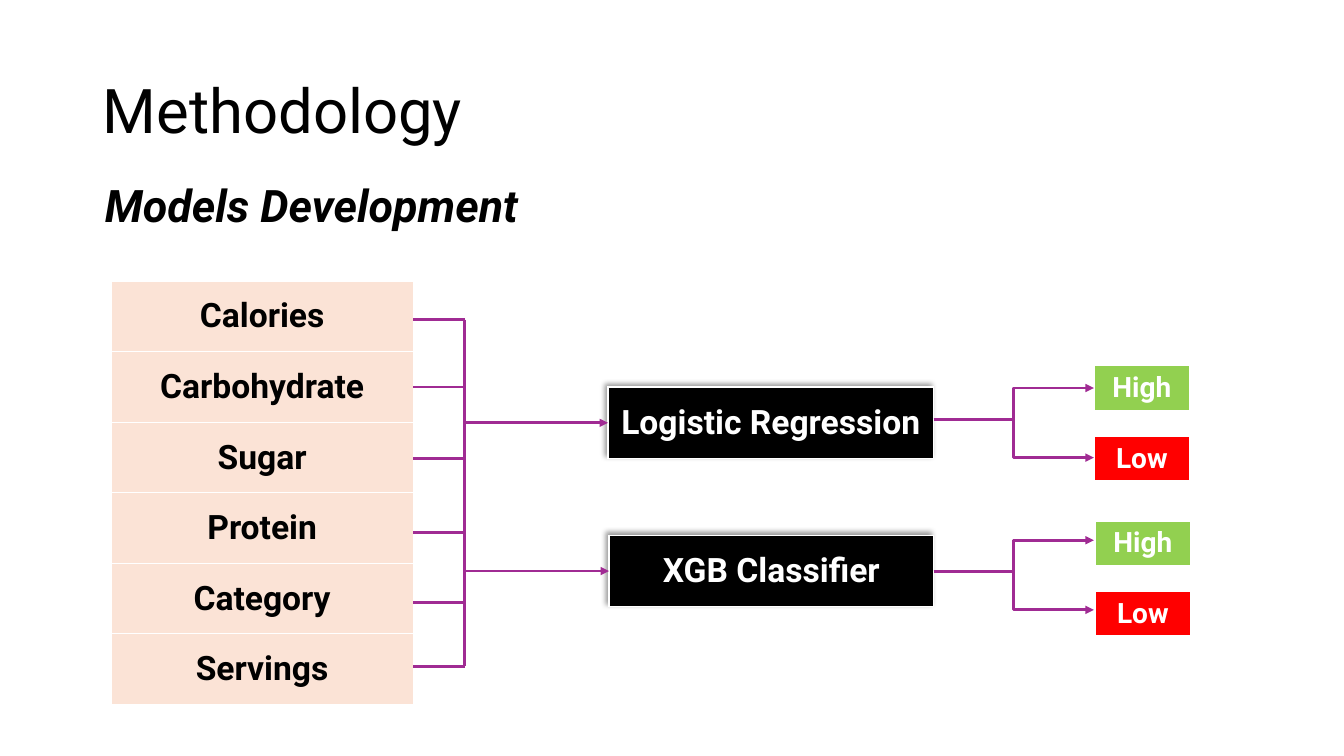
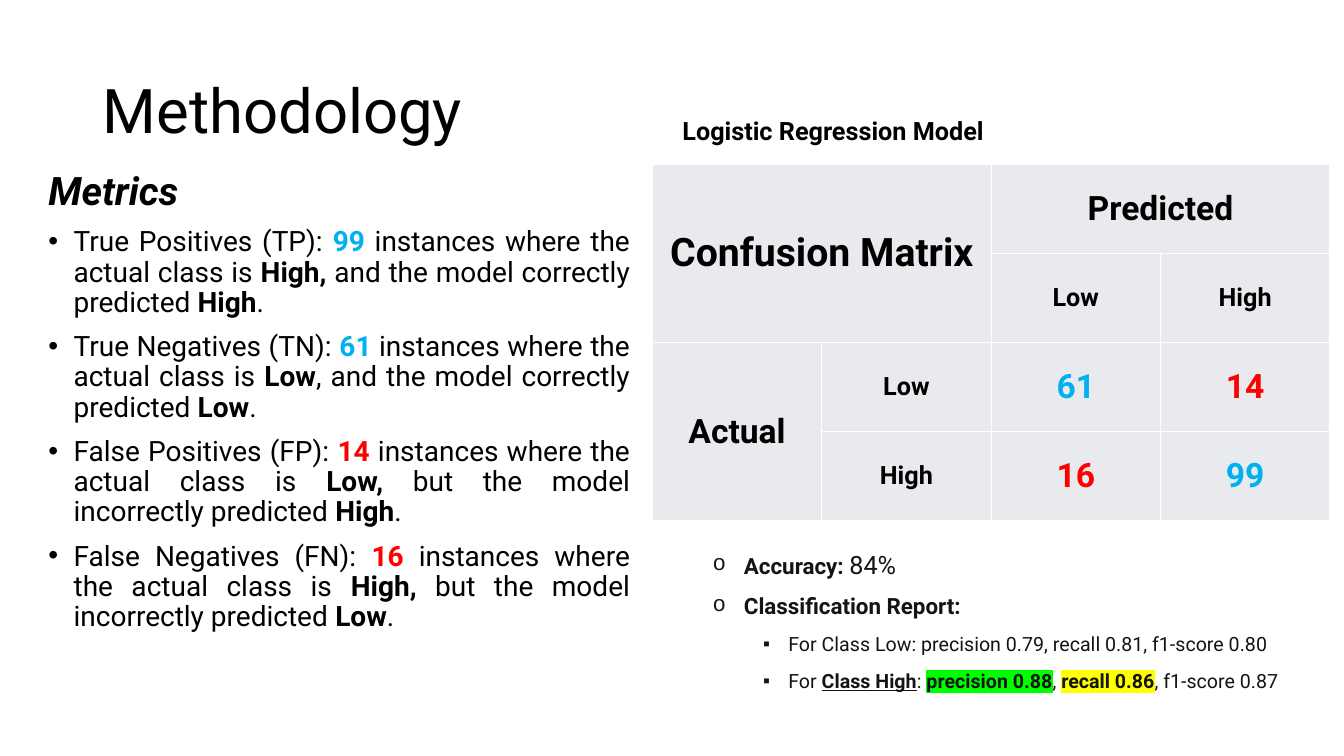
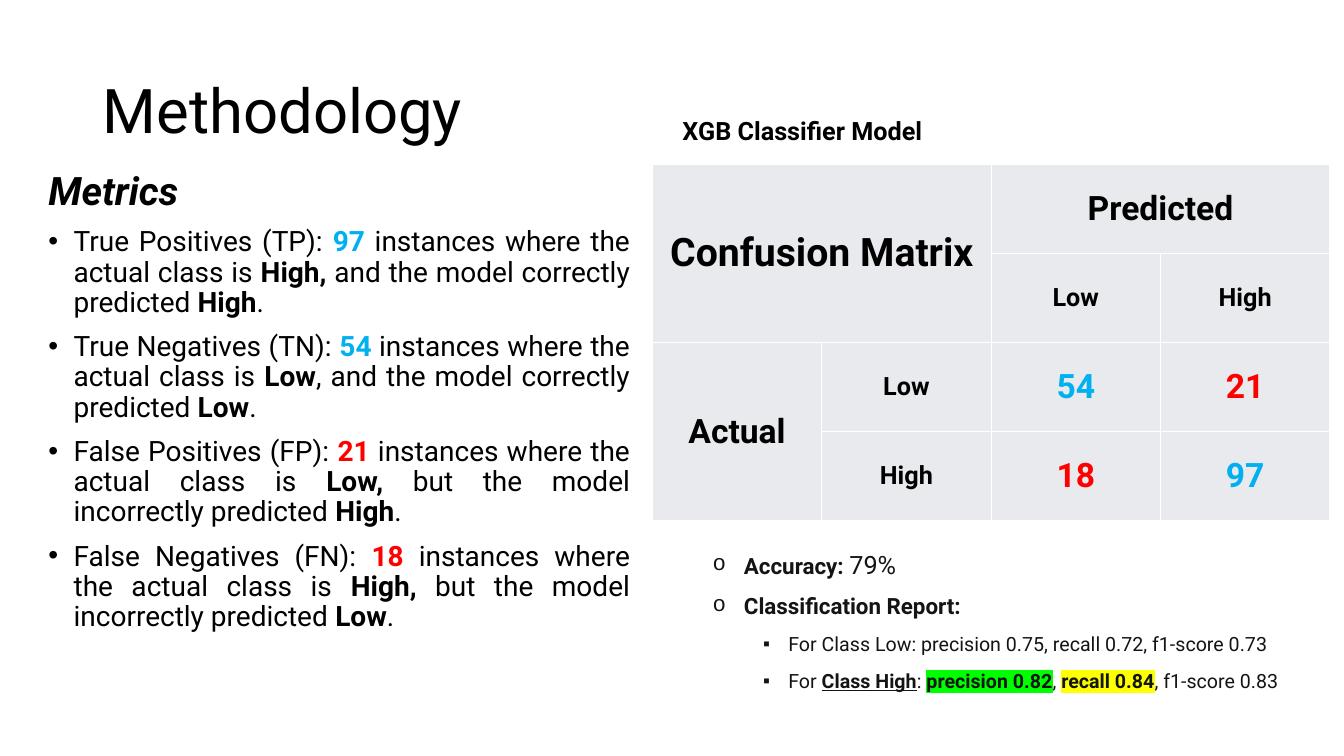
from lxml import etree
from pptx import Presentation
from pptx.dml.color import RGBColor
from pptx.enum.shapes import MSO_CONNECTOR as CONNECTOR
from pptx.enum.text import MSO_ANCHOR as ANCHOR, MSO_AUTO_SIZE as AUTO_SIZE, PP_ALIGN as ALIGN
from pptx.oxml import parse_xml
from pptx.oxml.ns import nsdecls, qn
from pptx.util import Inches, Pt

FONT = "Roboto"
BLACK, WHITE, INK = "000000", "FFFFFF", "121512"
PEACH, GREY, PURPLE = "FBE3D6", "E8EAED", "A02B93"
GREEN, RED, BLUE = "92D050", "FF0000", "00B0F0"
LIME_MARK, YELLOW_MARK = "00FF00", "FFFF00"
BOLD = {"bold": True}


def rgb(color):
    return RGBColor.from_string(color)


def place(shape, left, top, width, height):
    shape.left, shape.top = Inches(left), Inches(top)
    shape.width, shape.height = Inches(width), Inches(height)


def add_run(paragraph, text, size, color=BLACK, bold=False, italic=False,
            underline=False, mark=None):
    run = paragraph.add_run()
    run.text = text
    font = run.font
    font.name, font.size = FONT, Pt(size)
    font.bold, font.italic, font.underline = bold, italic, underline
    font.color.rgb = rgb(color)
    if mark:
        highlight = parse_xml(
            f'<a:highlight {nsdecls("a")}><a:srgbClr val="{mark}"/></a:highlight>')
        run._r.rPr.find(qn("a:solidFill")).addnext(highlight)


def add_runs(paragraph, runs, **base):
    """Add (text, overrides) pairs on top of a base style."""
    for text, overrides in runs:
        add_run(paragraph, text, **{**base, **overrides})


def set_bullet(paragraph, char=None, font="Arial", margin=0.0, hang=0.0):
    props = paragraph._p.get_or_add_pPr()
    props.set("marL", str(Inches(margin)))
    props.set("indent", str(-Inches(hang)))
    if char is None:
        etree.SubElement(props, qn("a:buNone"))
    else:
        etree.SubElement(props, qn("a:buFont")).set("typeface", font)
        etree.SubElement(props, qn("a:buChar")).set("char", char)


def next_paragraph(frame):
    """Return the empty first paragraph, or a new one."""
    first = frame.paragraphs[0]
    return frame.add_paragraph() if first.runs else first


def add_textbox(slide, *box):
    frame = slide.shapes.add_textbox(*map(Inches, box)).text_frame
    frame.word_wrap = True
    return frame


def add_methodology_slide(prs, title_width, body_box, heading, heading_size):
    """Add a slide with title and italic heading; return it and its body frame."""
    slide = prs.slides.add_slide(prs.slide_layouts[1])
    title, body = slide.placeholders
    place(title, 0.92, 0.4, title_width, 1.45)
    title.text_frame.auto_size = AUTO_SIZE.NONE
    title.text_frame.vertical_anchor = ANCHOR.MIDDLE
    line = title.text_frame.paragraphs[0]
    line.alignment, line.line_spacing = ALIGN.LEFT, 0.9
    add_run(line, "Methodology", 44)

    place(body, *body_box)
    body.text_frame.auto_size = AUTO_SIZE.NONE
    line = body.text_frame.paragraphs[0]
    line.line_spacing, line.space_before = 0.9, Pt(10)
    set_bullet(line)
    add_run(line, heading, heading_size, bold=True, italic=True)
    return slide, body.text_frame


def style_cell(cell, fill):
    cell.fill.solid()
    cell.fill.fore_color.rgb = rgb(fill)
    cell.vertical_anchor = ANCHOR.MIDDLE
    props = cell._tc.get_or_add_tcPr()
    for index, side in enumerate(("lnL", "lnR", "lnT", "lnB")):
        props.insert(index, parse_xml(
            f'<a:{side} {nsdecls("a")} w="{Pt(1)}"><a:solidFill>'
            f'<a:srgbClr val="{WHITE}"/></a:solidFill></a:{side}>'))


def write_cell(cell, text, size, color):
    paragraph = cell.text_frame.paragraphs[0]
    paragraph.alignment = ALIGN.CENTER
    add_run(paragraph, text, size, color, bold=True)


def add_grid(slide, rows, columns, box, fill):
    """Add a plain table of equal cells in one colour."""
    table = slide.shapes.add_table(rows, columns, *map(Inches, box)).table
    table.first_row = table.horz_banding = False
    for cell in table.iter_cells():
        style_cell(cell, fill)
    return table


def add_label_stack(slide, labels, box, fill, size, color):
    table = add_grid(slide, len(labels), 1, box, fill)
    for cell, label in zip(table.iter_cells(), labels):
        write_cell(cell, label, size, color)
    return table


def add_table_shadow(table):
    table._tbl.tblPr.insert(0, parse_xml(
        f'<a:effectLst {nsdecls("a")}><a:outerShdw blurRad="50800" dist="38100" '
        f'dir="13500000" algn="br" rotWithShape="0"><a:srgbClr val="{BLACK}">'
        '<a:alpha val="40000"/></a:srgbClr></a:outerShdw></a:effectLst>'))


def add_link(slide, start, end, kind=CONNECTOR.STRAIGHT, arrow=False):
    link = slide.shapes.add_connector(kind, *map(Inches, (*start, *end)))
    link.line.color.rgb = rgb(PURPLE)
    link.line.width = Pt(2)
    props = link._element.spPr
    if arrow:
        etree.SubElement(props.find(qn("a:ln")), qn("a:tailEnd")).set("type", "triangle")
    etree.SubElement(props, qn("a:effectLst"))


def add_features(slide, left, top, bus_x, tick_ys):
    features = ("Calories", "Carbohydrate", "Sugar", "Protein", "Category", "Servings")
    width, row_height = 3, 0.7
    add_label_stack(slide, features, (left, top, width, row_height * len(features)),
                    PEACH, 24, BLACK)
    for y in tick_ys:
        add_link(slide, (left + width, y), (bus_x, y))
    add_link(slide, (bus_x, tick_ys[0]), (bus_x, tick_ys[-1]))


def add_model(slide, name, left, top, bus_x, fork_y, tags_left, tags_top):
    """Add a model box with its input arrow and its two outcome tags."""
    right, height = 9.26, 0.71
    box = (left, top, right - left, height)
    add_table_shadow(add_label_stack(slide, [name], box, BLACK, 24, WHITE))
    input_y = top + height / 2
    add_link(slide, (bus_x, input_y), (left, input_y), arrow=True)
    outcomes = (("High", GREEN, -0.31), ("Low", RED, 0.38))
    for index, (outcome, fill, branch) in enumerate(outcomes):
        tag_box = (tags_left, tags_top + 0.7 * index, 0.95, 0.44)
        add_label_stack(slide, [outcome], tag_box, fill, 20, WHITE)
        add_link(slide, (right, fork_y), (10.85, fork_y + branch),
                 CONNECTOR.ELBOW, arrow=True)


def add_development_slide(prs):
    slide, _ = add_methodology_slide(
        prs, 11.5, (0.94, 1.77, 11.5, 5.02), "Models Development", 32)
    bus_x = 4.61
    add_features(slide, 1.1, 2.79, bus_x, (3.17, 3.84, 4.55, 5.28, 5.98, 6.61))
    add_model(slide, "Logistic Regression", 6.03, 3.84, bus_x, 4.16, 10.85, 3.63)
    add_model(slide, "XGB Classifier", 6.04, 5.31, bus_x, 5.67, 10.86, 5.17)


def add_metric_definitions(frame, tp, tn, fp, fn):
    metrics = (
        ("True Positives (TP): ", tp, BLUE, "High,", " and the model correctly", "High"),
        ("True Negatives (TN): ", tn, BLUE, "Low", ", and the model correctly", "Low"),
        ("False Positives (FP): ", fp, RED, "Low,", " but the model incorrectly", "High"),
        ("False Negatives (FN): ", fn, RED, "High,", " but the model incorrectly", "Low"),
    )
    for name, count, color, actual, verdict, predicted in metrics:
        paragraph = frame.add_paragraph()
        paragraph.alignment = ALIGN.JUSTIFY
        paragraph.line_spacing, paragraph.space_before = 0.9, Pt(10)
        set_bullet(paragraph, "•", margin=0.25, hang=0.25)
        add_runs(paragraph, (
            (name, {}),
            (str(count), {"bold": True, "color": color}),
            (" instances where the actual class is ", {}),
            (actual, BOLD),
            (f"{verdict} predicted ", {}),
            (predicted, BOLD),
            (".", {}),
        ), size=20)


def add_confusion_matrix(slide, box, tp, tn, fp, fn):
    table = add_grid(slide, 4, 4, box, GREY)
    for first, last in (((0, 0), (1, 1)), ((0, 2), (0, 3)), ((2, 0), (3, 0))):
        table.cell(*first).merge(table.cell(*last))
    entries = (
        (0, 0, "Confusion Matrix", 28, BLACK),
        (0, 2, "Predicted", 24, BLACK),
        (1, 2, "Low", 18, BLACK),
        (1, 3, "High", 18, BLACK),
        (2, 0, "Actual", 24, BLACK),
        (2, 1, "Low", 18, BLACK),
        (2, 2, str(tn), 24, BLUE),
        (2, 3, str(fp), 24, RED),
        (3, 1, "High", 18, BLACK),
        (3, 2, str(fn), 24, RED),
        (3, 3, str(tp), 24, BLUE),
    )
    for row, column, text, size, color in entries:
        write_cell(table.cell(row, column), text, size, color)


def add_report(slide, box, accuracy, low_scores, high_scores):
    """Add accuracy and the (precision, recall, f1) scores of both classes."""
    frame = add_textbox(slide, *box)
    outer = {"char": "o", "font": "Courier New", "margin": 0.81, "hang": 0.31}
    inner = {"char": "▪", "margin": 1.25, "hang": 0.25}
    low_precision, low_recall, low_f1 = low_scores
    precision, recall, f1 = high_scores
    lines = (
        (outer, 16, (("Accuracy: ", BOLD), (accuracy, {"size": 18}))),
        (outer, 16, (("Classification Report:", BOLD),)),
        (inner, 14, ((f"For Class Low: precision {low_precision}, "
                      f"recall {low_recall}, f1-score {low_f1}", {}),)),
        (inner, 14, (
            ("For ", {}),
            ("Class High", {"bold": True, "underline": True}),
            (": ", {}),
            (f"precision {precision}", {"bold": True, "mark": LIME_MARK}),
            (", ", {}),
            (f"recall {recall}", {"bold": True, "mark": YELLOW_MARK}),
            (f", f1-score {f1}", {}),
        )),
    )
    for bullet, size, runs in lines:
        paragraph = next_paragraph(frame)
        paragraph.line_spacing, paragraph.space_after = 1.07, Pt(8)
        set_bullet(paragraph, **bullet)
        add_runs(paragraph, runs, size=size, color=INK)


def add_metrics_slide(prs, model, counts, accuracy, low_scores, high_scores):
    slide, body = add_methodology_slide(
        prs, 5.43, (0.38, 1.65, 5.97, 5.39), "Metrics", 28)
    add_metric_definitions(body, **counts)
    add_confusion_matrix(slide, (6.47, 1.63, 6.72, 3.54), **counts)
    add_report(slide, (6.47, 5.38, 6.61, 1.54), accuracy, low_scores, high_scores)
    caption = add_textbox(slide, 6.67, 1.09, 3.81, 0.4)
    add_run(caption.paragraphs[0], model, 18, bold=True)


def main():
    prs = Presentation()
    prs.slide_width, prs.slide_height = Inches(13.33), Inches(7.5)
    add_development_slide(prs)
    add_metrics_slide(prs, "Logistic Regression Model",
                      {"tp": 99, "tn": 61, "fp": 14, "fn": 16}, "84%",
                      ("0.79", "0.81", "0.80"), ("0.88", "0.86", "0.87"))
    add_metrics_slide(prs, "XGB Classifier Model",
                      {"tp": 97, "tn": 54, "fp": 21, "fn": 18}, "79%",
                      ("0.75", "0.72", "0.73"), ("0.82", "0.84", "0.83"))
    prs.save("out.pptx")


if __name__ == "__main__":
    main()
